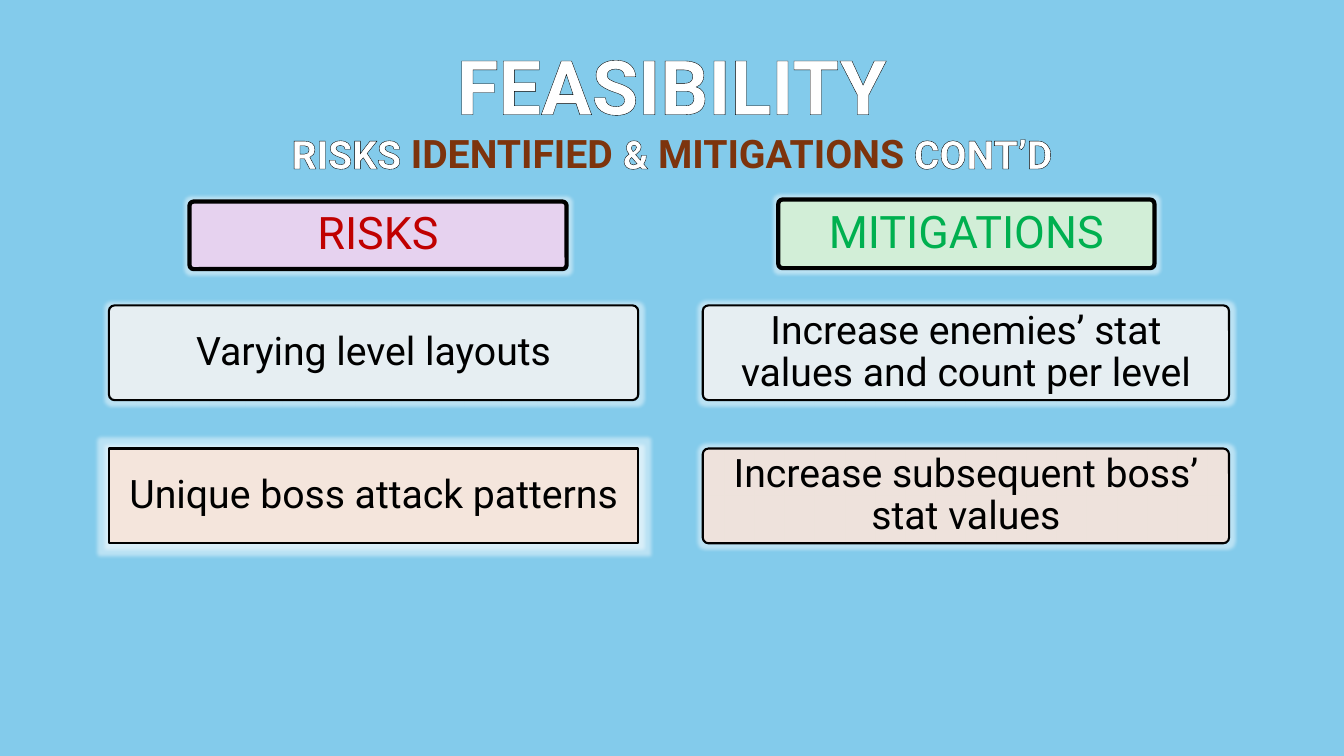
import pptx
import pptx.util
import pptx.dml.color
import pptx.enum.shapes
import pptx.enum.text
import pptx.oxml
import pptx.oxml.ns
from pptx.util import Inches

# Content
TITLE = [("FEASIBILITY", "white")]
SUBTITLE = [("RISKS ", "white"), ("IDENTIFIED", "brown"), (" & ", "white"),
            ("MITIGATIONS ", "brown"), ("CONT’D", "white")]
HEADERS = [("RISKS", "risk_fill", "risk_text"),
           ("MITIGATIONS", "mitigation_fill", "mitigation_text")]
ROWS = [
    ("Varying level layouts", "Increase enemies’ stat values and count per level"),
    ("Unique boss attack patterns", "Increase subsequent boss’ stat values"),
]
ROW_FILLS = ["gray", "peach"]
SQUARE_CARDS = {(1, 0)}  # (row, column)

THEME = {
    "font": "Roboto",
    "colors": {
        "background": "83CBEB", "white": "FFFFFF", "black": "000000",
        "brown": "7D340D", "risk_fill": "F2CFEE", "risk_text": "C00000",
        "mitigation_fill": "D9F2D0", "mitigation_text": "00B050",
        "gray": "F2F2F2", "peach": "FBE3D6",
    },
    "sizes": {"title": 54, "header": 32, "body": 28},
    "fill_alpha": 80, "glow_alpha": 45, "glow_radius": 5,
}

# Layout, in inches
TITLE_BOX = (0.38, 0.38, 12.57, 1.03)
SUBTITLE_BOX = (2.59, 1.29, 8.15, 0.52)
HEADER_BOXES = [(1.88, 2.0, 3.74, 0.67), (7.72, 1.98, 3.73, 0.68)]
CARD_COLUMNS = [(1.08, 5.25), (6.97, 5.22)]
CARD_TOP, CARD_PITCH, CARD_HEIGHT = 3.03, 1.42, 0.94
CORNER = 0.06

SHAPES = pptx.enum.shapes.MSO_SHAPE


def color(name):
    return pptx.dml.color.RGBColor.from_string(THEME["colors"][name])


def add_xml(parent, xml, index):
    namespace = pptx.oxml.ns.nsdecls("a")
    parent.insert(index, pptx.oxml.parse_xml(xml.replace("NS", namespace, 1)))


def write(shape, runs, size, bold=False, outline=0):
    frame = shape.text_frame
    for key, value in {"word_wrap": True,
                       "vertical_anchor": pptx.enum.text.MSO_ANCHOR.MIDDLE}.items():
        setattr(frame, key, value)
    paragraph = frame.paragraphs[0]
    for key, value in {"alignment": pptx.enum.text.PP_ALIGN.CENTER,
                       "line_spacing": 0.9}.items():
        setattr(paragraph, key, value)
    font_format = {"name": THEME["font"], "bold": bold,
                   "size": pptx.util.Pt(THEME["sizes"][size])}
    for text, color_name in runs:
        run = paragraph.add_run()
        run.text = text
        for key, value in font_format.items():
            setattr(run.font, key, value)
        run.font.color.rgb = color(color_name)
        if outline:
            add_xml(run.font._element,
                    f'<a:ln NS w="{pptx.util.Pt(outline)}"><a:solidFill>'
                    f'<a:srgbClr val="{THEME["colors"]["black"]}"/>'
                    '</a:solidFill></a:ln>', 0)


def add_heading(slide, box, runs, size, outline):
    heading = slide.shapes.add_textbox(*map(Inches, box))
    write(heading, runs, size, bold=True, outline=outline)


def add_card(slide, box, text, fill, text_color, size, border, square=False):
    kind = SHAPES.RECTANGLE if square else SHAPES.ROUNDED_RECTANGLE
    card = slide.shapes.add_shape(kind, *map(Inches, box))
    if not square:
        card.adjustments[0] = CORNER
    card.shadow.inherit = False
    card.fill.solid()
    card.fill.fore_color.rgb = color(fill)
    card.line.color.rgb = color("black")
    card.line.width = pptx.util.Pt(border)
    # Translucent fill and soft white glow
    properties = card._element.spPr
    add_xml(properties.find(pptx.oxml.ns.qn("a:solidFill"))[0],
            f'<a:alpha NS val="{THEME["fill_alpha"] * 1000}"/>', 0)
    add_xml(properties.find(pptx.oxml.ns.qn("a:effectLst")),
            f'<a:glow NS rad="{pptx.util.Pt(THEME["glow_radius"])}">'
            f'<a:srgbClr val="{THEME["colors"]["white"]}">'
            f'<a:alpha val="{THEME["glow_alpha"] * 1000}"/></a:srgbClr></a:glow>', 0)
    write(card, [(text, text_color)], size)


def main():
    deck = pptx.Presentation()
    deck.slide_width, deck.slide_height = Inches(13.33), Inches(7.5)
    slide = deck.slides.add_slide(deck.slide_layouts[6])
    slide.background.fill.solid()
    slide.background.fill.fore_color.rgb = color("background")

    # Headings
    add_heading(slide, TITLE_BOX, TITLE, "title", 3)
    add_heading(slide, SUBTITLE_BOX, SUBTITLE, "body", 1.5)

    # Column headers
    for box, (label, fill, text_color) in zip(HEADER_BOXES, HEADERS):
        add_card(slide, box, label, fill, text_color, "header", 3)

    # Risks and their mitigations
    for row, (pair, fill) in enumerate(zip(ROWS, ROW_FILLS)):
        top = CARD_TOP + row * CARD_PITCH
        for column, (text, (left, width)) in enumerate(zip(pair, CARD_COLUMNS)):
            add_card(slide, (left, top, width, CARD_HEIGHT), text, fill, "black",
                     "body", 1.5, square=(row, column) in SQUARE_CARDS)

    deck.save("out.pptx")


if __name__ == "__main__":
    main()
